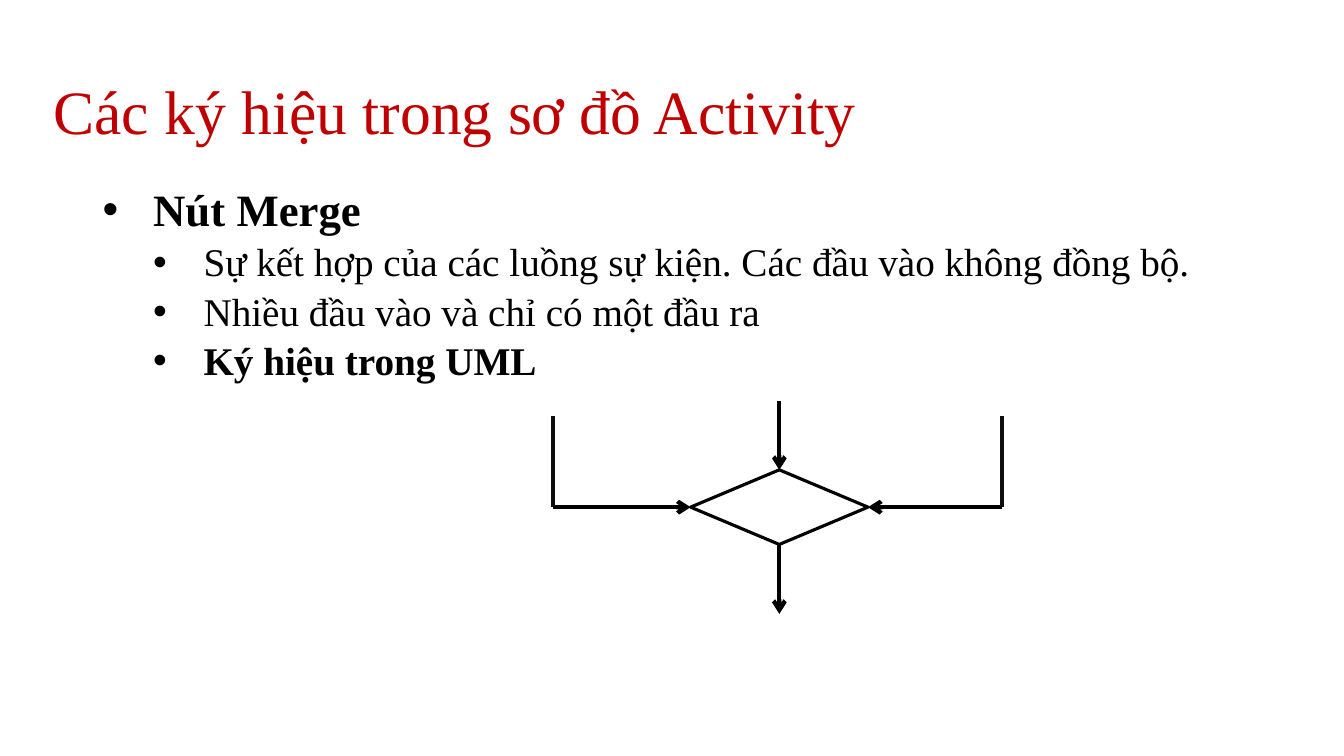
from lxml.etree import SubElement
from pptx import Presentation
from pptx.dml.color import RGBColor
from pptx.enum.shapes import MSO_CONNECTOR, MSO_SHAPE
from pptx.enum.text import MSO_ANCHOR, MSO_AUTO_SIZE, PP_ALIGN
from pptx.oxml.ns import qn
from pptx.util import Cm, Pt

RED = RGBColor(0xC0, 0x00, 0x00)
BLACK = RGBColor(0x00, 0x00, 0x00)
DARK = RGBColor(0x0D, 0x0D, 0x0D)
WHITE = RGBColor(0xFF, 0xFF, 0xFF)

TITLE = "Các ký hiệu trong sơ đồ Activity"
TITLE_BOX = (1.09, 1.12, 29.21, 2.72)
BODY_BOX = (2.34, 4.6, 29.21, 12.57)
INDENT = 1.27

HEADING = {"size": Pt(32), "bold": True}
DETAIL = {"size": Pt(28), "bold": False}
DETAIL_BOLD = {"size": Pt(28), "bold": True}
BULLETS = [
    ("Nút Merge", 0, HEADING),
    ("Sự kết hợp của các luồng sự kiện. Các đầu vào không đồng bộ.", 1, DETAIL),
    ("Nhiều đầu vào và chỉ có một đầu ra", 1, DETAIL),
    ("Ký hiệu trong UML", 1, DETAIL_BOLD),
]

CENTER_X, CENTER_Y = 19.64, 12.78
NODE_WIDTH, NODE_HEIGHT = 4.47, 1.88
LEFT_X, RIGHT_X = 13.94, 25.26
STUB_TOP = 10.49
INPUT_TOP, OUTPUT_BOTTOM = 10.11, 15.47

node_left = CENTER_X - NODE_WIDTH / 2
node_right = CENTER_X + NODE_WIDTH / 2
node_top = CENTER_Y - NODE_HEIGHT / 2
node_bottom = CENTER_Y + NODE_HEIGHT / 2
FLOWS = [
    (RIGHT_X, CENTER_Y, node_right, CENTER_Y, BLACK, True),
    (CENTER_X, INPUT_TOP, CENTER_X, node_top, BLACK, True),
    (LEFT_X, CENTER_Y, node_left, CENTER_Y, BLACK, True),
    (CENTER_X, node_bottom, CENTER_X, OUTPUT_BOTTOM, BLACK, True),
    (LEFT_X, STUB_TOP, LEFT_X, CENTER_Y, DARK, False),
    (RIGHT_X, STUB_TOP, RIGHT_X, CENTER_Y, DARK, False),
]


def set_attributes(target, values):
    for name, value in values.items():
        setattr(target, name, value)


def add_text(paragraph, text, color, values):
    run = paragraph.add_run()
    run.text = text
    set_attributes(run.font, {"name": "Times New Roman", **values})
    run.font.color.rgb = color


def add_title(slide):
    title = slide.shapes.title
    left, top, width, height = map(Cm, TITLE_BOX)
    set_attributes(title, {"left": left, "top": top, "width": width, "height": height})
    set_attributes(title.text_frame, {
        "word_wrap": True,
        "auto_size": MSO_AUTO_SIZE.NONE,
        "vertical_anchor": MSO_ANCHOR.BOTTOM,
    })
    paragraph = title.text_frame.paragraphs[0]
    set_attributes(paragraph, {"alignment": PP_ALIGN.LEFT, "line_spacing": 0.9})
    add_text(paragraph, TITLE, RED, {"size": Pt(44)})


def add_bullets(slide):
    frame = slide.shapes.add_textbox(*map(Cm, BODY_BOX)).text_frame
    frame.word_wrap = True
    for index, (text, level, values) in enumerate(BULLETS):
        paragraph = frame.paragraphs[0] if index == 0 else frame.add_paragraph()
        set_attributes(paragraph, {
            "level": level,
            "line_spacing": 0.9,
            "space_before": Pt(5 if index else 0),
        })
        properties = paragraph._p.get_or_add_pPr()
        properties.set("marL", str(Cm(INDENT * (level + 1))))
        properties.set("indent", str(Cm(-INDENT)))
        SubElement(properties, qn("a:buFont"), typeface="Arial")
        SubElement(properties, qn("a:buChar"), char="•")
        add_text(paragraph, text, BLACK, values)


def add_diagram(slide):
    group = slide.shapes.add_group_shape()
    node = group.shapes.add_shape(
        MSO_SHAPE.DIAMOND, Cm(node_left), Cm(node_top), Cm(NODE_WIDTH), Cm(NODE_HEIGHT)
    )
    node.shadow.inherit = False
    node.fill.solid()
    node.fill.fore_color.rgb = WHITE
    node.line.color.rgb = BLACK
    node.line.width = Pt(2.25)
    for *ends, color, has_arrow in FLOWS:
        connector = group.shapes.add_connector(MSO_CONNECTOR.STRAIGHT, *map(Cm, ends))
        connector.line.color.rgb = color
        connector.line.width = Pt(3)
        if has_arrow:
            SubElement(connector.line._get_or_add_ln(), qn("a:tailEnd"), type="arrow")
        SubElement(connector._element.spPr, qn("a:effectLst"))


def main():
    presentation = Presentation()
    presentation.slide_width = Cm(33.87)
    presentation.slide_height = Cm(19.05)
    slide = presentation.slides.add_slide(presentation.slide_layouts[5])
    add_title(slide)
    add_bullets(slide)
    add_diagram(slide)
    presentation.save("out.pptx")


if __name__ == "__main__":
    main()
